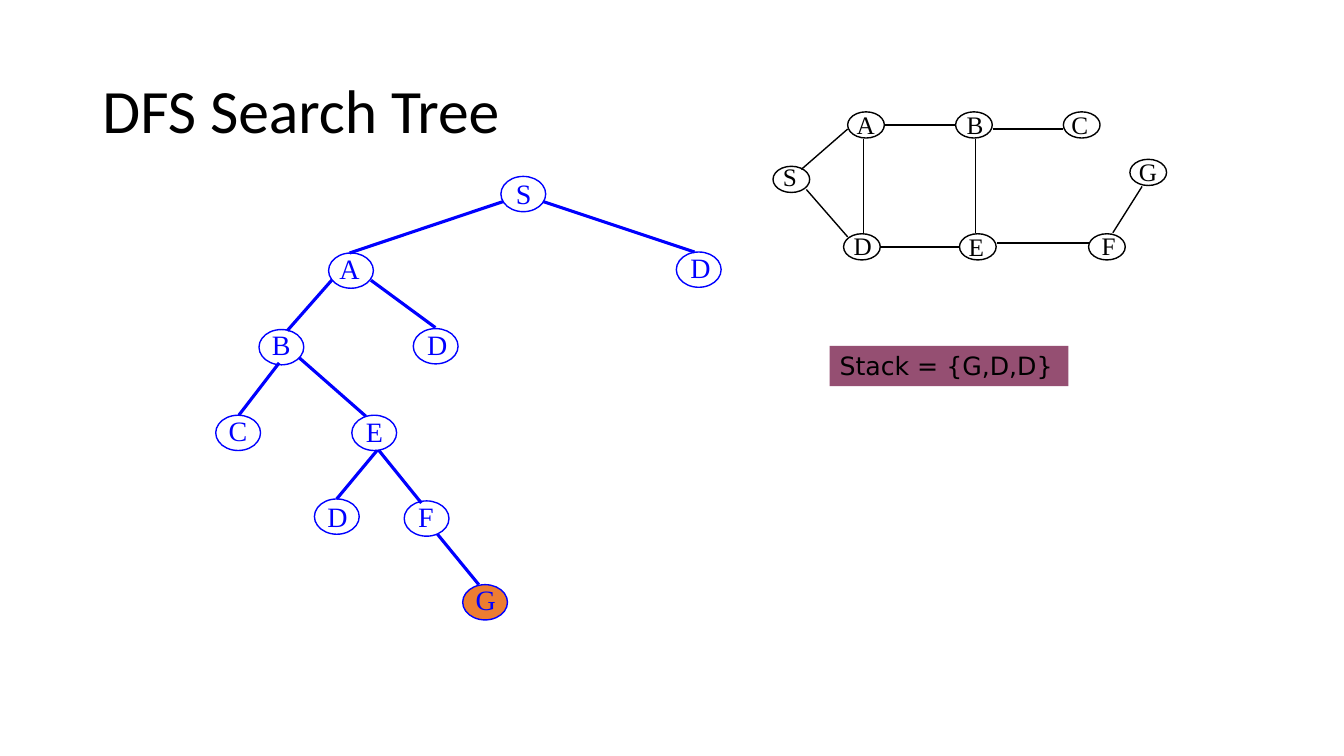
from dataclasses import dataclass
from typing import NamedTuple

from lxml.etree import SubElement
from pptx import Presentation
from pptx.dml.color import RGBColor
from pptx.enum.shapes import MSO_CONNECTOR as Conn, MSO_SHAPE as Shape
from pptx.enum.text import MSO_ANCHOR as Anchor, MSO_AUTO_SIZE as Auto, PP_ALIGN as Align
from pptx.oxml.ns import qn
from pptx.util import Pt

COLORS = {"ink": "000000", "tree": "0000FF", "goal": "ED7D31", "stack": "954F72"}
SERIF = "Times New Roman"


class Node(NamedTuple):
    label: str
    x: float
    y: float
    label_x: float
    label_y: float
    label_w: float
    fill: str = ""


class Edge(NamedTuple):
    x1: float
    y1: float
    x2: float
    y2: float


@dataclass
class Diagram:
    color: str
    node_w: float
    node_h: float
    label_h: float
    font_size: float
    edge_width: float
    wrap: bool
    nodes: list[Node]
    edges: list[Edge]


GRAPH = Diagram("ink", 26.2, 18.7, 28.8, 18, 1, True, [
    Node("S", 552.2, 118.8, 552.2, 111.6, 31),
    Node("A", 605.5, 79.9, 604.8, 74.2, 31.7),
    Node("B", 682.6, 79.9, 683.3, 74.2, 30.2),
    Node("C", 759.6, 79.9, 758.2, 74.2, 34.6),
    Node("G", 807.1, 113.8, 806.4, 108, 33.8),
    Node("D", 602.6, 167, 602.6, 161.3, 30.2),
    Node("E", 685.4, 167, 684.7, 162, 32.4),
    Node("F", 777.6, 167, 779.8, 161.3, 27.4),
], [
    Edge(576, 135.4, 605.5, 169.2),
    Edge(572.4, 121, 605.5, 92.2),
    Edge(617, 99.4, 617, 166.3),
    Edge(632.2, 89.3, 682.6, 89.3),
    Edge(629.3, 176.4, 685.4, 176.4),
    Edge(709.2, 92.2, 759.6, 92.2),
    Edge(712.1, 173.5, 777.6, 173.5),
    Edge(794.9, 166.3, 815.8, 133.2),
    Edge(697, 99.4, 697, 166.3),
])

TREE = Diagram("tree", 32, 25.2, 31, 20, 2.25, False, [
    Node("S", 357.8, 126, 361.4, 122.4, 25.9),
    Node("A", 234.7, 180.7, 235.4, 176.4, 28.8),
    Node("D", 483.1, 180, 486, 175.7, 28.8),
    Node("B", 185, 235.4, 187.2, 230.4, 28.1),
    Node("D", 295.2, 234.7, 298.1, 230.4, 28.8),
    Node("C", 154.1, 296.6, 156.2, 291.6, 33.1),
    Node("E", 251.3, 296.6, 254.2, 292.3, 26.6),
    Node("D", 224.6, 356.4, 226.8, 353.5, 28.8),
    Node("F", 288.7, 357.8, 291.6, 353.5, 25.9),
    Node("G", 330.5, 417.6, 332.6, 412.6, 28.8, "goal"),
], [
    Edge(359.3, 144, 249.8, 180.7),
    Edge(388.1, 144, 496.1, 180),
    Edge(236.9, 200.2, 205.2, 236.2),
    Edge(265, 200.2, 311, 234),
    Edge(199.4, 259.2, 170.6, 296.6),
    Edge(213.8, 255.6, 261.4, 297.4),
    Edge(269.3, 321.8, 240.5, 356.4),
    Edge(270.7, 321.8, 301, 359.3),
    Edge(312.5, 381.6, 342, 417.6),
])


def rgb(name: str) -> RGBColor:
    return RGBColor.from_string(COLORS[name])


def set_font(p, name: str, size: float, color: str) -> None:
    p.font.name = name
    p.font.size = Pt(size)
    p.font.color.rgb = rgb(color)


def add_text(shapes, text: str, x: float, y: float, w: float, h: float,
             font: str, size: float, color: str, wrap: bool = False):
    sp = shapes.add_textbox(Pt(x), Pt(y), Pt(w), Pt(h))
    tf = sp.text_frame
    tf.word_wrap = wrap
    tf.auto_size = Auto.SHAPE_TO_FIT_TEXT
    tf.text = text
    set_font(tf.paragraphs[0], font, size, color)
    return sp


def add_node(shapes, d: Diagram, node: Node) -> None:
    sp = shapes.add_shape(Shape.OVAL, Pt(node.x), Pt(node.y), Pt(d.node_w), Pt(d.node_h))
    sp.shadow.inherit = False
    if node.fill:
        sp.fill.solid()
        sp.fill.fore_color.rgb = rgb(node.fill)
    else:
        sp.fill.background()
    sp.line.color.rgb = rgb(d.color)
    sp.line.width = Pt(1)
    add_text(shapes, node.label, node.label_x, node.label_y, node.label_w, d.label_h,
             SERIF, d.font_size, d.color, d.wrap)


def add_edge(shapes, d: Diagram, edge: Edge) -> None:
    line = shapes.add_connector(Conn.STRAIGHT, *map(Pt, edge))
    line.line.color.rgb = rgb(d.color)
    line.line.width = Pt(d.edge_width)
    SubElement(line._element.spPr, qn("a:effectLst"))


def draw(shapes, d: Diagram) -> None:
    for node in d.nodes:
        add_node(shapes, d, node)
    for edge in d.edges:
        add_edge(shapes, d, edge)


def add_title(s, text: str) -> None:
    title = s.shapes.title
    title.left, title.top, title.width, title.height = Pt(66), Pt(28.8), Pt(828), Pt(104.4)
    tf = title.text_frame
    tf.text = text
    tf.auto_size = Auto.NONE
    tf.vertical_anchor = Anchor.MIDDLE
    p = tf.paragraphs[0]
    p.alignment = Align.LEFT
    p.line_spacing = 0.9
    set_font(p, "Calibri", 44, "ink")


def main() -> None:
    prs = Presentation()
    prs.slide_width, prs.slide_height = Pt(960), Pt(540)
    s = prs.slides.add_slide(prs.slide_layouts[5])
    add_title(s, "DFS Search Tree")
    draw(s.shapes.add_group_shape().shapes, GRAPH)
    draw(s.shapes, TREE)
    stack = add_text(s.shapes, "Stack = {G,D,D}", 592.6, 247, 170.6, 28.8,
                     "DejaVu Sans", 18, "ink")
    stack.fill.solid()
    stack.fill.fore_color.rgb = rgb("stack")
    prs.save("out.pptx")


if __name__ == "__main__":
    main()
